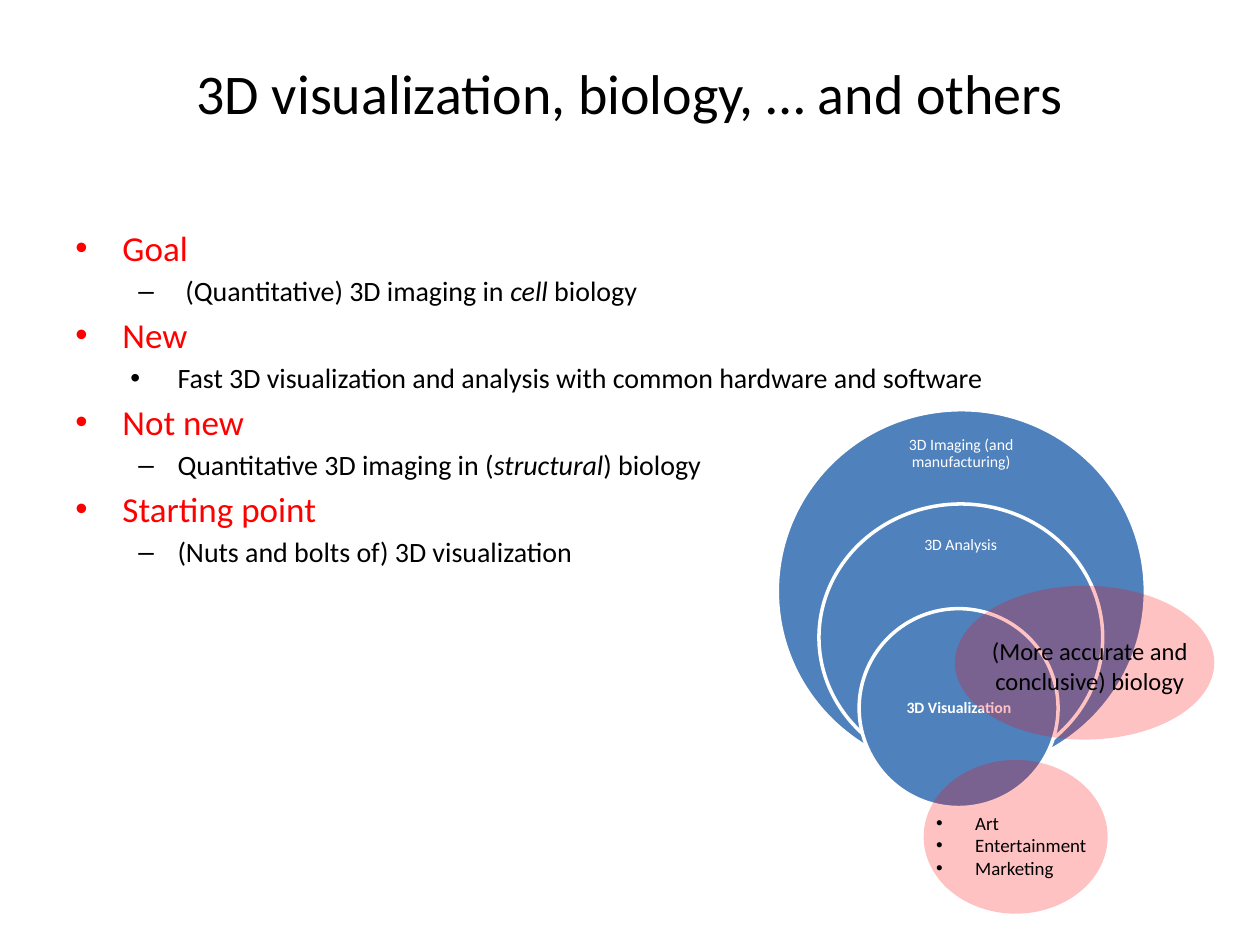
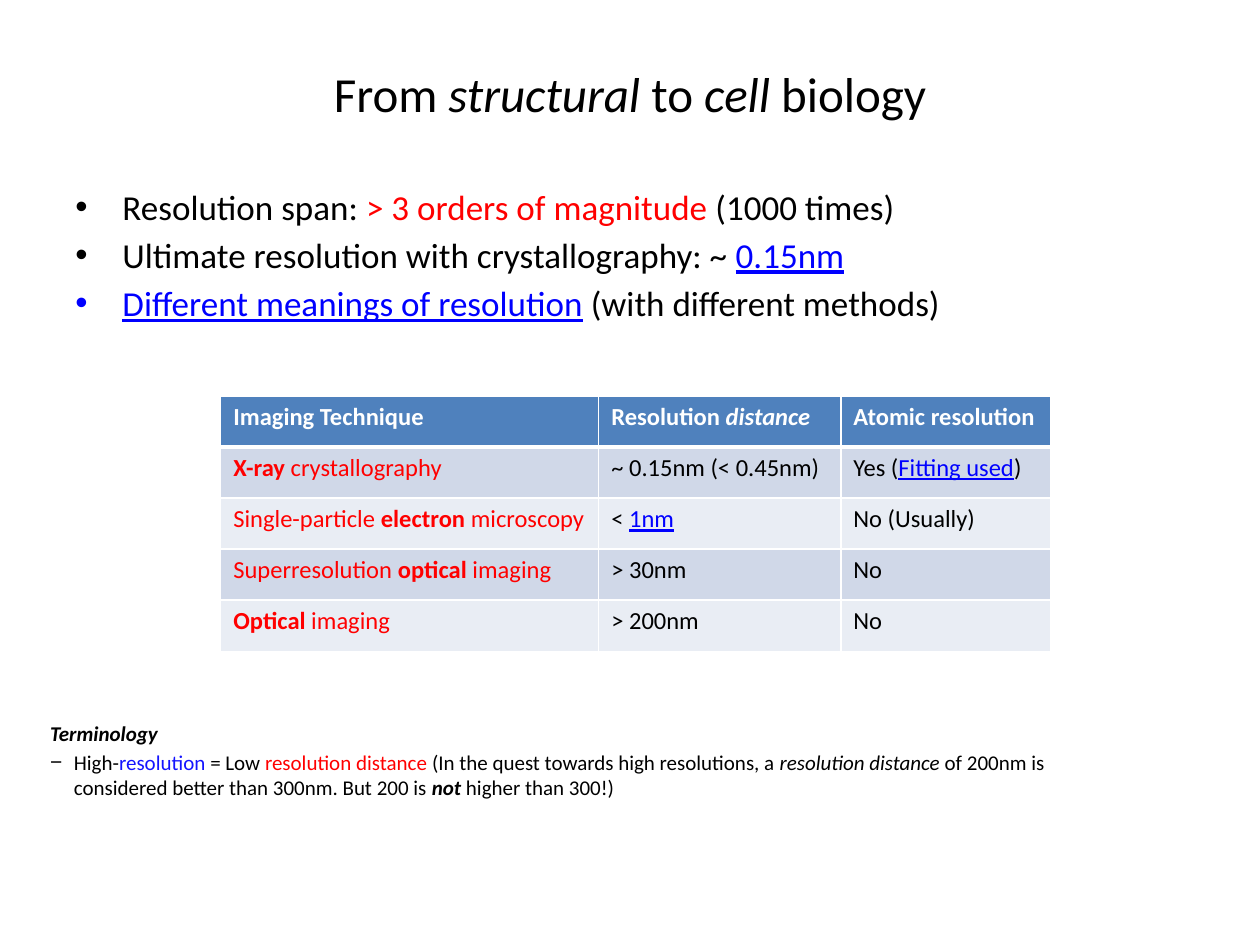
from dataclasses import dataclass
from typing import NamedTuple

from lxml.etree import SubElement
from pptx import Presentation
from pptx.dml.color import RGBColor
from pptx.enum.shapes import MSO_SHAPE as Shape
from pptx.enum.text import MSO_ANCHOR as Anchor, PP_ALIGN as Align
from pptx.oxml.ns import qn
from pptx.util import Cm, Pt

FONT = "Calibri"
BLACK, WHITE, RED = "000000", "FFFFFF", "FF0000"
BLUE, LINK, TERM = "4F81BD", "0000FF", "1414FF"
BANDS = ("D0D8E8", "E9EDF4")


class Box(NamedTuple):
    left: float
    top: float
    width: float
    height: float

    def cm(self):
        return [Cm(v) for v in self]


TITLE = Box(1.27, 0.76, 22.86, 2.21)


class Run(NamedTuple):
    text: str
    color: str = BLACK
    bold: bool = False
    italic: bool = False
    underline: bool = False


@dataclass
class Line:
    runs: list[Run]
    size: float
    bullet: str = ""
    left: float = 0
    hang: float = 0
    align: Align = Align.LEFT
    spacing: float = 1.0
    gap: float = 0.18  # space before, as a share of the font size


@dataclass
class Ring:
    oval: Box
    label_box: Box
    label: str
    bold: bool = False


@dataclass
class Field:
    """A translucent oval naming areas outside the rings."""
    oval: Box
    text_box: Box
    lines: list[Line]


def rgb(value: str) -> RGBColor:
    return RGBColor.from_string(value)


def link(text: str) -> Run:
    return Run(text, LINK, underline=True)


def heading(*runs: Run) -> Line:
    return Line(list(runs), 20, "•", 0.95, 0.95)


def detail(*runs: Run, bullet="–", left=2.06, hang=0.79) -> Line:
    return Line(list(runs), 16, bullet, left, hang)


def write_line(p, line: Line, first: bool) -> None:
    if line.bullet:
        pPr = p._p.get_or_add_pPr()
        pPr.set("marL", str(Cm(line.left)))
        pPr.set("indent", str(-Cm(line.hang)))
        SubElement(pPr, qn("a:buFont"), typeface="Arial")
        SubElement(pPr, qn("a:buChar"), char=line.bullet)
    p.alignment = line.align
    p.line_spacing = line.spacing
    if not first:
        p.space_before = Pt(line.size * line.gap)
    for run in line.runs:
        r = p.add_run()
        r.text = run.text
        f = r.font
        f.name, f.size = FONT, Pt(line.size)
        f.bold, f.italic, f.underline = run.bold, run.italic, run.underline
        f.color.rgb = rgb(run.color)


def add_text(s, box: Box, lines: list[Line], anchor=Anchor.TOP, inset=None) -> None:
    tf = s.shapes.add_textbox(*box.cm()).text_frame
    tf.word_wrap = True
    tf.vertical_anchor = anchor
    if inset is not None:
        tf.margin_left = tf.margin_right = tf.margin_top = tf.margin_bottom = Cm(inset)
    for i, line in enumerate(lines):
        write_line(tf.add_paragraph() if i else tf.paragraphs[0], line, i == 0)


def add_title(s, runs: list[Run], size: float) -> None:
    add_text(s, TITLE, [Line(runs, size, align=Align.CENTER)], Anchor.MIDDLE)


def add_oval(s, box: Box, color: str):
    sp = s.shapes.add_shape(Shape.OVAL, *box.cm())
    sp.shadow.inherit = False
    sp.fill.solid()
    sp.fill.fore_color.rgb = rgb(color)
    return sp


def add_ring(s, ring: Ring) -> None:
    sp = add_oval(s, ring.oval, BLUE)
    sp.line.color.rgb = rgb(WHITE)
    sp.line.width = Pt(2)
    label = Line([Run(ring.label, WHITE, ring.bold)], 9, align=Align.CENTER, spacing=0.9)
    add_text(s, ring.label_box, [label], Anchor.MIDDLE, 0.18)


def add_field(s, field: Field) -> None:
    sp = add_oval(s, field.oval, RED)
    sp.line.fill.background()
    color = sp.fill._xPr.find(qn("a:solidFill"))[0]
    SubElement(color, qn("a:alpha"), val="24000")
    add_text(s, field.text_box, field.lines)


def add_borders(cell, top: float, bottom: float) -> None:
    tcPr = cell._tc.get_or_add_tcPr()
    for side, width in (("L", 1), ("R", 1), ("T", top), ("B", bottom)):
        ln = SubElement(tcPr, qn(f"a:ln{side}"), w=str(Pt(width)))
        SubElement(SubElement(ln, qn("a:solidFill")), qn("a:srgbClr"), val=WHITE)


def add_table(s, left: float, top: float, widths: list[float], row_height: float,
              rows: list[list[list[Run]]]) -> None:
    box = Box(left, top, sum(widths), row_height * len(rows))
    table = s.shapes.add_table(len(rows), len(widths), *box.cm()).table
    for column, width in zip(table.columns, widths):
        column.width = Cm(width)
    for i, row in enumerate(rows):
        table.rows[i].height = Cm(row_height)
        for j, runs in enumerate(row):
            cell = table.cell(i, j)
            add_borders(cell, 3 if i == 1 else 1, 3 if i == 0 else 1)
            cell.fill.solid()
            cell.fill.fore_color.rgb = rgb(BANDS[(i - 1) % 2] if i else BLUE)
            write_line(cell.text_frame.paragraphs[0], Line(runs, 14), True)


GOALS = [
    heading(Run("Goal", RED)),
    detail(Run("(Quantitative) 3D imaging in "), Run("cell", italic=True), Run(" biology"),
           left=2.22, hang=0.95),
    heading(Run("New", RED)),
    detail(Run("Fast 3D visualization and analysis with common hardware and software"),
           bullet="•", hang=0.95),
    heading(Run("Not new", RED)),
    detail(Run("Quantitative 3D imaging in ("), Run("structural", italic=True),
           Run(") biology")),
    heading(Run("Starting point", RED)),
    detail(Run("(Nuts and bolts of) 3D visualization")),
]

RINGS = [
    Ring(Box(15.67, 8.26, 7.42, 7.32), Box(18.08, 8.61, 2.59, 1.09),
         "3D Imaging (and manufacturing)"),
    Ring(Box(16.51, 10.16, 5.72, 5.38), Box(18.03, 10.49, 2.67, 1.02), "3D Analysis"),
    Ring(Box(17.32, 12.27, 4.01, 4.01), Box(17.91, 13.28, 2.84, 2.01),
         "3D Visualization", bold=True),
]

FIELDS = [
    Field(Box(18.62, 15.32, 3.71, 3.1), Box(18.62, 16.23, 3.71, 1.42),
          [Line([Run(name)], 10.8, "•", 0.79, 0.79, gap=0)
           for name in ("Art", "Entertainment", "Marketing")]),
    Field(Box(19.25, 11.81, 5.23, 3.1), Box(19.25, 12.7, 5.44, 1.42),
          [Line([Run("(More accurate and conclusive) biology")], 14, align=Align.CENTER)]),
]

RESOLUTION = [
    heading(Run("Resolution span: "), Run("> 3 orders of magnitude", RED),
            Run(" (1000 times)")),
    heading(Run("Ultimate resolution with crystallography: ~ "), link("0.15nm")),
    heading(link("Different meanings of resolution"), Run(" (with different methods)")),
]

TECHNIQUES = [
    [[Run("Imaging Technique", WHITE, True)],
     [Run("Resolution ", WHITE, True), Run("distance", WHITE, True, True)],
     [Run("Atomic resolution", WHITE, True)]],
    [[Run("X-ray", RED, True), Run(" crystallography", RED)],
     [Run("~ 0.15nm (< 0.45nm)")],
     [Run("Yes ("), link("Fitting used"), Run(")")]],
    [[Run("Single-particle ", RED), Run("electron", RED, True), Run(" microscopy", RED)],
     [Run("< "), link("1nm")],
     [Run("No (Usually)")]],
    [[Run("Superresolution ", RED), Run("optical", RED, True), Run(" imaging", RED)],
     [Run("> 30nm")],
     [Run("No")]],
    [[Run("Optical", RED, True), Run(" imaging", RED)],
     [Run("> 200nm")],
     [Run("No")]],
]

TERMINOLOGY = [
    Line([Run("Terminology", bold=True, italic=True)], 12),
    Line([Run("High-"), Run("resolution ", TERM), Run("= Low "),
          Run("resolution distance ", RED),
          Run("(In the quest towards high resolutions, a "),
          Run("resolution distance", italic=True),
          Run(" of 200nm is considered better than 300nm. But 200 is "),
          Run("not", bold=True, italic=True), Run(" higher than 300!)")],
         12, "−", 0.48, 0.48),
]


def build_overview(s) -> None:
    add_title(s, [Run("3D visualization, biology, … and others")], 32)
    add_text(s, Box(1.27, 4.45, 22.86, 8.26), GOALS)
    for ring in RINGS:
        add_ring(s, ring)
    for field in FIELDS:
        add_field(s, field)


def build_resolution(s) -> None:
    add_title(s, [Run("From "), Run("structural", italic=True), Run(" to "),
                  Run("cell ", italic=True), Run("biology")], 28)
    add_text(s, Box(1.27, 3.61, 23.5, 3.38), RESOLUTION)
    add_table(s, 4.45, 7.98, [7.62, 4.88, 4.23], 1.03, TECHNIQUES)
    add_text(s, Box(0.76, 14.4, 21.06, 2.11), TERMINOLOGY)


def main() -> None:
    prs = Presentation()
    prs.slide_width, prs.slide_height = Cm(25.4), Cm(19.05)
    for build in (build_overview, build_resolution):
        build(prs.slides.add_slide(prs.slide_layouts[6]))
    prs.save("out.pptx")


if __name__ == "__main__":
    main()
